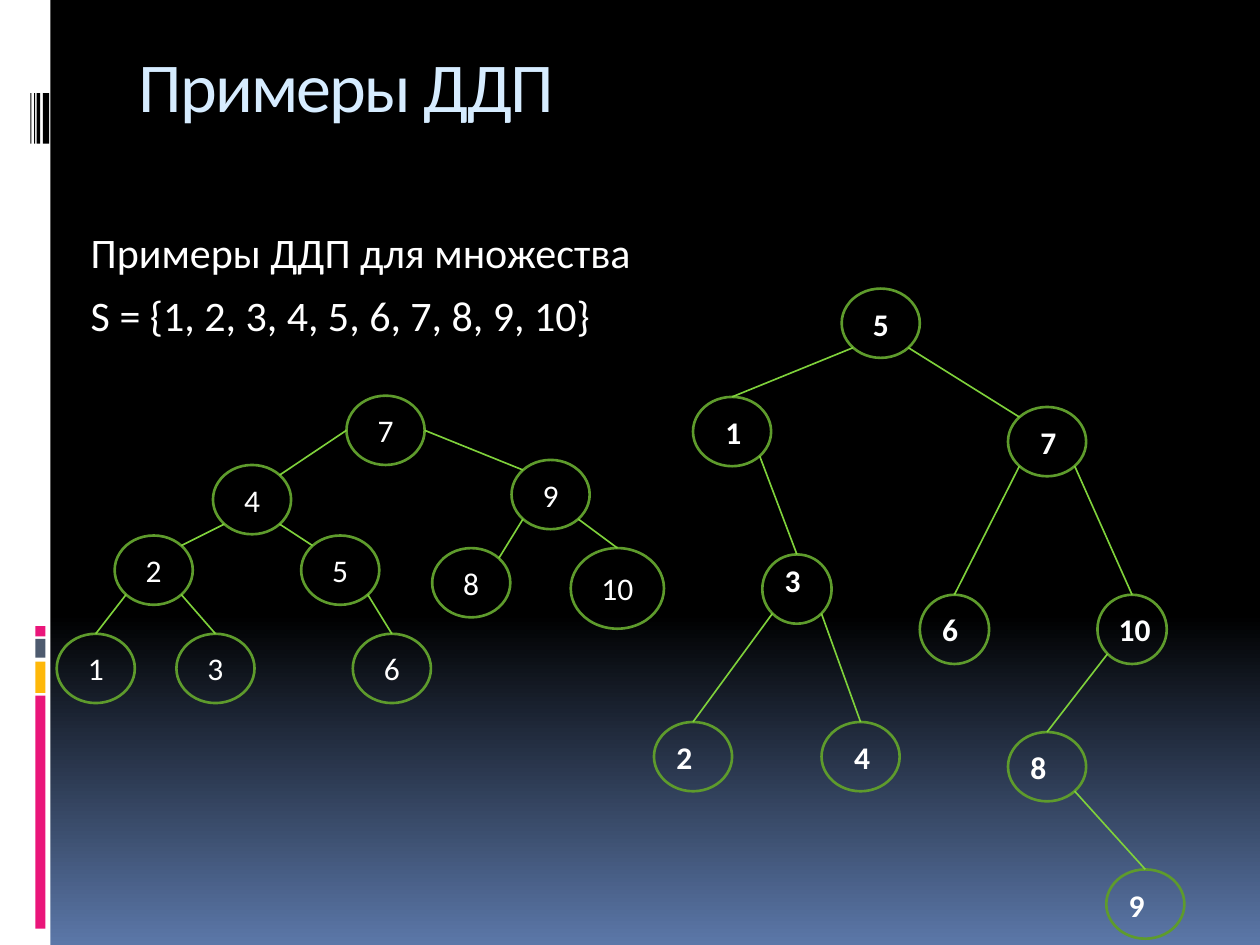
from dataclasses import dataclass
from math import sqrt
from lxml.etree import SubElement
from pptx import Presentation
from pptx.dml.color import RGBColor
from pptx.enum.shapes import MSO_CONNECTOR, MSO_SHAPE
from pptx.enum.text import MSO_ANCHOR, MSO_AUTO_SIZE, PP_ALIGN
from pptx.oxml import parse_xml
from pptx.oxml.ns import nsdecls, qn
from pptx.util import Inches, Pt


@dataclass(frozen=True)
class Theme:
    font: str = "Calibri"
    title_size: float = 40
    body_size: float = 24
    label_size: float = 18
    outline_width: float = 1.5
    edge_width: float = 0.94
    title: str = "D6ECFF"
    text: str = "FFFFFF"
    outline: str = "5E9B2C"
    edge: str = "7FD13B"
    background: tuple = ((0, "000000"), (65, "000000"), (100, "5B77A8"))


THEME = Theme()
TITLE = "Примеры ДДП"
BODY = ["Примеры ДДП для множества", "S = {1, 2, 3, 4, 5, 6, 7, 8, 9, 10}"]

SIDE_BARS = [
    (0, 0, 0.4, 7.5, "FFFFFF"),
    (0.28, 5.52, 0.08, 1.85, "EA157A"),
    (0.28, 5.25, 0.08, 0.25, "FEB80A"),
    (0.28, 5.07, 0.08, 0.15, "4E5B6F"),
    (0.28, 4.97, 0.08, 0.08, "EA157A"),
    (0.34, 0.74, 0.05, 0.4, "000000"),
    (0.29, 0.74, 0.03, 0.4, "000000"),
    (0.27, 0.74, 0.01, 0.4, "000000"),
    (0.24, 0.74, 0.01, 0.4, "000000"),
]

WIDE, ROUND, LARGE = (0.62, 0.55), (0.55, 0.55), (0.74, 0.64)

RIGHT_NODES = {
    "5": (6.68, 2.29, WIDE), "7": (8, 3.23, WIDE), "1": (5.5, 3.15, WIDE),
    "3": (6.05, 4.4, ROUND), "6": (7.3, 4.72, ROUND), "10": (8.71, 4.72, ROUND),
    "4": (6.52, 5.73, WIDE), "2": (5.19, 5.73, WIDE),
    "8": (8, 5.81, WIDE), "9": (8.78, 6.9, WIDE),
}
RIGHT_EDGES = [
    ("5", "bottom left", "1", "top"), ("5", "bottom right", "7", "top left"),
    ("1", "bottom right", "3", "top"), ("7", "bottom left", "6", "top"),
    ("7", "bottom right", "10", "top"), ("3", "bottom left", "2", "top"),
    ("3", "bottom right", "4", "top"), ("10", "bottom left", "8", "top"),
    ("8", "bottom right", "9", "top"),
]
LABEL_OFFSETS = {
    "5": (0.15, 0.08), "1": (0.16, 0.08), "7": (0.16, 0.08), "3": (0.08, 0),
    "6": (0.08, 0.07), "10": (0.07, 0.07), "2": (0.08, 0.08),
    "4": (0.16, 0.08), "8": (0.08, 0.08), "9": (0.08, 0.08),
}

LEFT_NODES = {
    "4": (1.69, 3.69, WIDE), "5": (2.39, 4.25, WIDE), "9": (4.06, 3.65, WIDE),
    "2": (0.91, 4.25, WIDE), "3": (1.4, 5.03, WIDE), "1": (0.45, 5.03, WIDE),
    "7": (2.75, 3.14, WIDE), "10": (4.53, 4.35, LARGE),
    "8": (3.43, 4.35, WIDE), "6": (2.8, 5.03, WIDE),
}
LEFT_EDGES = [
    ("7", "left", "4", "top right"), ("7", "right", "9", "top left"),
    ("4", "bottom left", "2", "top right"), ("4", "bottom right", "5", "top left"),
    ("9", "bottom left", "8", "top right"), ("9", "bottom right", "10", "top"),
    ("2", "bottom left", "1", "top"), ("2", "bottom right", "3", "top"),
    ("5", "bottom right", "6", "top"),
]


def color(value):
    return RGBColor.from_string(value)


def style(paragraph, size, value=THEME.text, bold=False):
    for span in paragraph.runs:
        span.font.name = THEME.font
        span.font.size = Pt(size)
        span.font.bold = bold
        span.font.color.rgb = color(value)


def place(shape, left, top, width, height):
    shape.left, shape.top = Inches(left), Inches(top)
    shape.width, shape.height = Inches(width), Inches(height)


def set_background(page):
    stops = "".join(
        f'<a:gs pos="{position * 1000}"><a:srgbClr val="{value}"/></a:gs>'
        for position, value in THEME.background)
    page.element.cSld.insert(0, parse_xml(
        f'<p:bg {nsdecls("p", "a")}><p:bgPr><a:gradFill rotWithShape="1">'
        f'<a:gsLst>{stops}</a:gsLst><a:lin ang="5400000" scaled="0"/>'
        '</a:gradFill><a:effectLst/></p:bgPr></p:bg>'))


def add_side_bars(page):
    for left, top, width, height, value in SIDE_BARS:
        bar = page.shapes.add_shape(MSO_SHAPE.RECTANGLE, Inches(left), Inches(top),
                                    Inches(width), Inches(height))
        bar.shadow.inherit = False
        bar.fill.solid()
        bar.fill.fore_color.rgb = color(value)
        bar.line.fill.background()


def fill_title(title):
    place(title, 1, 0.29, 8.5, 1)
    title.text_frame.text = TITLE
    title.text_frame.vertical_anchor = MSO_ANCHOR.TOP
    paragraph = title.text_frame.paragraphs[0]
    paragraph.alignment = PP_ALIGN.LEFT
    style(paragraph, THEME.title_size, THEME.title)
    paragraph.runs[0].font._element.set("spc", "-100")


def fill_body(body):
    place(body, 0.55, 1.75, 5.09, 1.56)
    body.text_frame.text = "\n".join(BODY)
    for index, paragraph in enumerate(body.text_frame.paragraphs):
        paragraph.space_before = Pt(7 if index else 0)
        properties = paragraph._p.get_or_add_pPr()
        properties.set("marL", str(Inches(0.45)))
        properties.set("indent", str(Inches(-0.38)))
        SubElement(properties, qn("a:buNone"))
        style(paragraph, THEME.body_size)


def add_nodes(page, nodes, labelled):
    circles = {}
    for key, (left, top, (width, height)) in nodes.items():
        circle = page.shapes.add_shape(MSO_SHAPE.OVAL, Inches(left), Inches(top),
                                       Inches(width), Inches(height))
        circle.shadow.inherit = False
        circle.fill.background()
        circle.line.color.rgb = color(THEME.outline)
        circle.line.width = Pt(THEME.outline_width)
        if labelled:
            circle.text_frame.text = key
            circle.text_frame.vertical_anchor = MSO_ANCHOR.MIDDLE
            paragraph = circle.text_frame.paragraphs[0]
            paragraph.alignment = PP_ALIGN.CENTER
            style(paragraph, THEME.label_size)
        circles[key] = circle
    return circles


def rim_point(circle, site):
    across = ("right" in site) - ("left" in site)
    down = ("bottom" in site) - ("top" in site)
    length = sqrt(across ** 2 + down ** 2)
    return (int(circle.left + circle.width / 2 * (1 + across / length)),
            int(circle.top + circle.height / 2 * (1 + down / length)))


def add_edges(page, circles, edges):
    for parent, parent_site, child, child_site in edges:
        edge = page.shapes.add_connector(
            MSO_CONNECTOR.STRAIGHT, *rim_point(circles[parent], parent_site),
            *rim_point(circles[child], child_site))
        if child_site == "top":
            edge.end_connect(circles[child], 0)
        edge.line.color.rgb = color(THEME.edge)
        edge.line.width = Pt(THEME.edge_width)
        SubElement(edge._element.spPr, qn("a:effectLst"))


def add_labels(page):
    for key, (across, down) in LABEL_OFFSETS.items():
        left, top, _ = RIGHT_NODES[key]
        box = page.shapes.add_textbox(Inches(left + across), Inches(top + down),
                                      Inches(0.33 if len(key) == 1 else 0.46), Inches(0.4))
        box.text_frame.text = key
        box.text_frame.word_wrap = False
        box.text_frame.auto_size = MSO_AUTO_SIZE.SHAPE_TO_FIT_TEXT
        style(box.text_frame.paragraphs[0], THEME.label_size, bold=True)


def main():
    deck = Presentation()
    deck.slide_width, deck.slide_height = Inches(10), Inches(7.5)
    page = deck.slides.add_slide(deck.slide_layouts[1])
    set_background(page)
    add_side_bars(page)
    fill_title(page.shapes.title)
    fill_body(page.placeholders[1])
    add_edges(page, add_nodes(page, RIGHT_NODES, False), RIGHT_EDGES)
    add_labels(page)
    add_edges(page, add_nodes(page, LEFT_NODES, True), LEFT_EDGES)
    deck.save("out.pptx")


if __name__ == "__main__":
    main()
